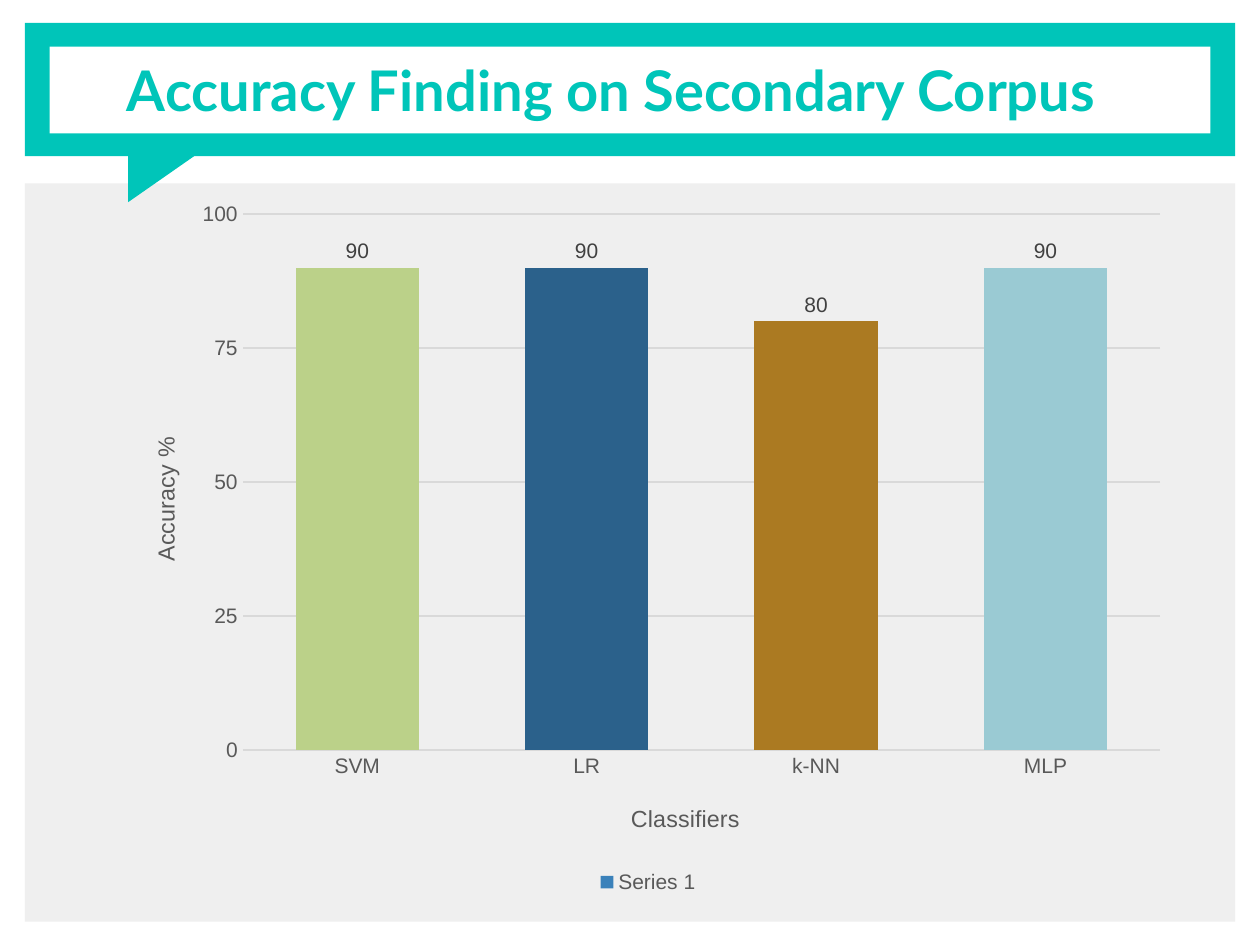
"""Build the classifier accuracy slide."""
from dataclasses import dataclass

from lxml.etree import SubElement
from pptx import Presentation
from pptx.chart.data import CategoryChartData
from pptx.dml.color import RGBColor
from pptx.enum.chart import (XL_CHART_TYPE, XL_LABEL_POSITION,
                             XL_LEGEND_POSITION, XL_TICK_MARK)
from pptx.enum.shapes import MSO_SHAPE
from pptx.enum.text import MSO_ANCHOR, PP_ALIGN
from pptx.oxml.ns import qn
from pptx.util import Cm, Pt

TEAL, GREY, WHITE = "00C5B9", "EFEFEF", "FFFFFF"
TEXT, GRID, LABEL = "595959", "D9D9D9", "404040"


@dataclass
class Block:
    """A plain filled shape, measured in centimetres."""
    kind: MSO_SHAPE
    left: float
    top: float
    width: float
    height: float
    color: str
    rotation: int = 0


@dataclass
class Bar:
    """One classifier's result."""
    name: str
    value: int
    color: str


BLOCKS = [
    Block(MSO_SHAPE.RECTANGLE, 0.5, 3.7, 24.4, 14.88, GREY),
    Block(MSO_SHAPE.RECTANGLE, 0.5, 0.46, 24.4, 2.69, TEAL),
    Block(MSO_SHAPE.RIGHT_TRIANGLE, 2.85, 2.59, 1.22, 1.75, TEAL, 90),
    Block(MSO_SHAPE.RECTANGLE, 1.0, 0.94, 23.4, 1.75, WHITE),
]
BARS = [
    Bar("SVM", 90, "BBD189"),
    Bar("LR", 90, "2B618B"),
    Bar("k-NN", 80, "AB7A22"),
    Bar("MLP", 90, "9ACAD3"),
]


def rgb(color: str) -> RGBColor:
    """Turn a hex string into a colour."""
    return RGBColor.from_string(color)


def paint(fill, color: str) -> None:
    """Make a fill solid."""
    fill.solid()
    fill.fore_color.rgb = rgb(color)


def set_font(font, size: float, color: str, name: str = "Arial",
             bold: bool = False) -> None:
    """Set the face, size, weight and colour of a font."""
    font.name, font.size, font.bold = name, Pt(size), bold
    font.color.rgb = rgb(color)


def set_line(line, color: str) -> None:
    """Give a line its colour and a thin width."""
    line.color.rgb = rgb(color)
    line.width = Pt(0.75)


def add_block(s, block: Block) -> None:
    """Draw one block on the slide."""
    sp = s.shapes.add_shape(block.kind, Cm(block.left), Cm(block.top),
                            Cm(block.width), Cm(block.height))
    sp.rotation = block.rotation
    sp.shadow.inherit = False
    paint(sp.fill, block.color)
    sp.line.fill.background()


def add_title(s, text: str) -> None:
    """Fill the title placeholder and bring it in front of the banner."""
    sp = s.shapes.title
    sp.left, sp.top, sp.width, sp.height = Cm(2.31), Cm(0.46), Cm(22.1), Cm(2.69)
    tf = sp.text_frame
    tf.text = text
    tf.word_wrap = True
    tf.vertical_anchor = MSO_ANCHOR.MIDDLE
    tf.margin_left = tf.margin_right = tf.margin_top = tf.margin_bottom = Cm(0.25)
    p = tf.paragraphs[0]
    p.alignment = PP_ALIGN.LEFT
    set_font(p.font, 32, TEAL, "Lato", True)
    s.shapes._spTree.append(sp._element)


def place(parent, index: int, **fractions: float) -> None:
    """Fix a chart part's position as fractions of the chart."""
    layout = parent.find(qn("c:layout"))
    if layout is None:
        layout = SubElement(parent, qn("c:layout"))
        parent.insert(index, layout)
    manual = SubElement(layout, qn("c:manualLayout"))
    if "w" in fractions:
        SubElement(manual, qn("c:layoutTarget")).set("val", "inner")
    for key in ("x", "y"):
        SubElement(manual, qn(f"c:{key}Mode")).set("val", "edge")
    for key, value in fractions.items():
        SubElement(manual, qn(f"c:{key}")).set("val", str(value))


def style_axis(axis, title: str, x: float, y: float) -> None:
    """Format an axis and put its title in place."""
    axis.major_tick_mark = axis.minor_tick_mark = XL_TICK_MARK.NONE
    set_font(axis.tick_labels.font, 12, TEXT)
    tf = axis.axis_title.text_frame
    tf.text = title
    set_font(tf.paragraphs[0].font, 13.3, TEXT)
    place(axis.axis_title._element, 1, x=x, y=y)


def add_accuracy_chart(s) -> None:
    """Add the column chart of accuracy by classifier."""
    data = CategoryChartData()
    data.categories = [bar.name for bar in BARS]
    data.add_series("Series 1", [bar.value for bar in BARS])
    chart = s.shapes.add_chart(XL_CHART_TYPE.COLUMN_CLUSTERED, Cm(2.31), Cm(3.89),
                               Cm(21.51), Cm(14.22), data).chart
    set_font(chart.font, 10, "000000")
    chart.has_title = False
    chart.has_legend = True
    chart.legend.position = XL_LEGEND_POSITION.BOTTOM
    chart.legend.include_in_layout = False
    set_font(chart.legend.font, 12, TEXT)

    style_axis(chart.category_axis, "Classifiers", 0.48, 0.86)
    set_line(chart.category_axis.format.line, GRID)
    axis = chart.value_axis
    style_axis(axis, "Accuracy %", 0.03, 0.34)
    axis.minimum_scale, axis.maximum_scale, axis.major_unit = 0, 100, 25
    axis.format.line.fill.background()
    set_line(axis.major_gridlines.format.line, GRID)

    plot = chart.plots[0]
    plot.gap_width, plot.overlap, plot.vary_by_categories = 86, -27, False
    series = plot.series[0]
    paint(series.format.fill, "3A81BA")
    for i, bar in enumerate(BARS):
        paint(series.points[i].format.fill, bar.color)
    labels = series.data_labels
    labels.show_value = True
    labels.position = XL_LABEL_POSITION.OUTSIDE_END
    set_font(labels.font, 12, LABEL)
    place(chart._chartSpace.chart.plotArea, 0, x=0.12, y=0.03, w=0.86, h=0.76)


def main() -> None:
    """Build and save the slide."""
    prs = Presentation()
    prs.slide_width, prs.slide_height = Cm(25.4), Cm(19.05)
    s = prs.slides.add_slide(prs.slide_layouts[5])
    paint(s.background.fill, WHITE)
    for block in BLOCKS:
        add_block(s, block)
    add_title(s, "Accuracy Finding on Secondary Corpus")
    add_accuracy_chart(s)
    prs.save("out.pptx")


main()
